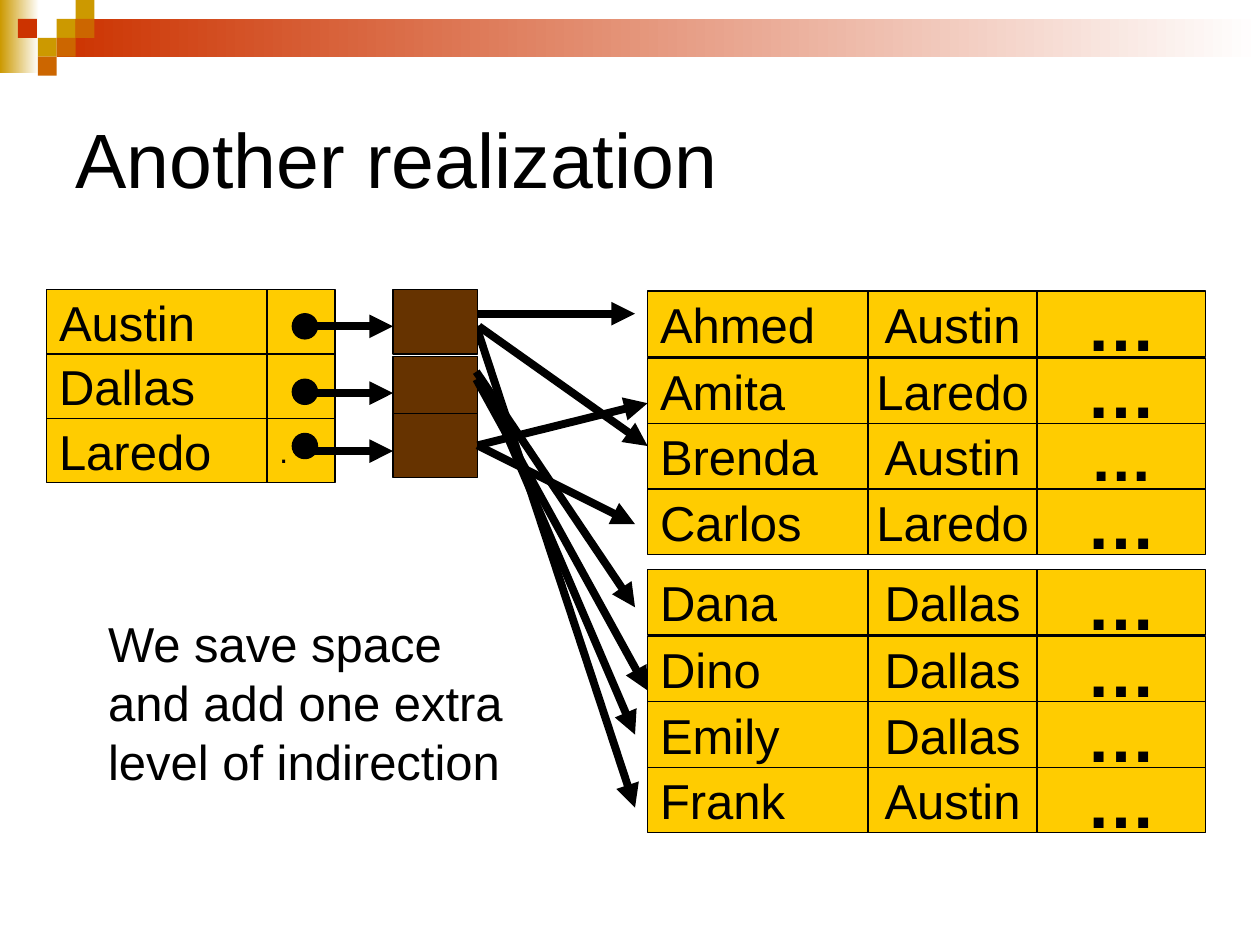
import dataclasses

import lxml.etree
import pptx
import pptx.dml.color
import pptx.enum.shapes
import pptx.enum.text
import pptx.oxml.ns
import pptx.util

Inches = pptx.util.Inches
Shape = pptx.enum.shapes.MSO_SHAPE
Align = pptx.enum.text.PP_ALIGN
Anchor = pptx.enum.text.MSO_ANCHOR


@dataclasses.dataclass(frozen=True)
class Theme:
    """Colours, font and type sizes of the slide."""

    ink: str = "000000"
    paper: str = "FFFFFF"
    cell: str = "FFCC00"
    bucket: str = "663300"
    gold: str = "CC9900"
    orange: str = "CC6600"
    red: str = "CC3300"
    font: str = "Arial"
    title: int = 44
    body: int = 28
    mark: int = 18
    ellipsis: int = 40
    small_ellipsis: int = 36
    outline: float = 0.75
    arrow: float = 4.5


class Painter:
    """Draws styled elements on the current slide."""

    def __init__(self, page, theme):
        """Keep the slide and its theme."""
        self.page = page
        self.theme = theme

    def color(self, value):
        """Return the RGB colour of a hex value."""
        return pptx.dml.color.RGBColor.from_string(value)

    def label(self, shape, lines, size, align=Align.LEFT, bold=False, anchor=Anchor.MIDDLE):
        """Fill a shape with styled lines of text."""
        frame = shape.text_frame
        frame.word_wrap = False
        frame.vertical_anchor = anchor
        frame.text = "\n".join(lines)
        style = {"name": self.theme.font, "size": pptx.util.Pt(size), "bold": bold}
        for para in frame.paragraphs:
            para.alignment = align
            for span in para.runs:
                for name, value in style.items():
                    setattr(span.font, name, value)
                span.font.color.rgb = self.color(self.theme.ink)

    def text(self, box, lines, size, anchor):
        """Add a text box."""
        shape = self.page.shapes.add_textbox(*map(Inches, box))
        self.label(shape, lines, size, anchor=anchor)

    def shape(self, box, fill, kind=Shape.RECTANGLE, outlined=True):
        """Add a filled shape, with or without an outline."""
        shape = self.page.shapes.add_shape(kind, *map(Inches, box))
        shape.shadow.inherit = False
        shape.fill.solid()
        shape.fill.fore_color.rgb = self.color(fill)
        if outlined:
            shape.line.color.rgb = self.color(self.theme.ink)
            shape.line.width = pptx.util.Pt(self.theme.outline)
        else:
            shape.line.fill.background()
        return shape

    def fade(self, box, start):
        """Add a band that fades from a colour to the paper."""
        shape = self.shape(box, start, outlined=False)
        shape.fill.gradient()
        shape.fill.gradient_angle = 0
        for stop, value in zip(shape.fill.gradient_stops, (start, self.theme.paper)):
            stop.color.rgb = self.color(value)

    def cell(self, box, words="", size=None, **style):
        """Add a table-like cell with optional words."""
        shape = self.shape(box, self.theme.cell)
        if words:
            self.label(shape, [words], size or self.theme.body, **style)

    def arrow(self, start, end, source=None):
        """Add an arrow, joined to the right side of its source if given."""
        line = self.page.shapes.add_connector(
            pptx.enum.shapes.MSO_CONNECTOR.STRAIGHT, *map(Inches, (*start, *end)))
        if source is not None:
            line.begin_connect(source, 3)
        line.line.color.rgb = self.color(self.theme.ink)
        line.line.width = pptx.util.Pt(self.theme.arrow)
        properties = line.element.spPr
        outline = properties.find(pptx.oxml.ns.qn("a:ln"))
        lxml.etree.SubElement(outline, pptx.oxml.ns.qn("a:tailEnd"), type="triangle")
        lxml.etree.SubElement(properties, pptx.oxml.ns.qn("a:effectLst"))


def draw_header(painter):
    """Draw the fading bands and the mosaic of squares."""
    theme = painter.theme
    painter.fade((0, 0, 0.31, 0.58), theme.gold)
    painter.fade((0.45, 0.15, 9.55, 0.3), theme.red)
    side = 0.15
    squares = [(3, 1, theme.gold), (4, 0, theme.gold), (4, 1, theme.orange),
               (2, 2, theme.gold), (0.95, 1, theme.red), (3, 2, theme.orange),
               (2, 3, theme.orange)]
    for column, row, fill in squares:
        painter.shape((column * side, row * side, side, side), fill, outlined=False)


def draw_records(painter, top, records):
    """Draw a block of records, with a small gap below the first."""
    height = 0.52
    for index, (name, city, size) in enumerate(records):
        y = top + index * height + (0.01 if index else 0)
        painter.cell((5.14, y, 1.75, height), name)
        painter.cell((6.89, y, 1.34, height), city, align=Align.CENTER)
        painter.cell((8.23, y, 1.34, height), "…", size, align=Align.CENTER, bold=True)


def draw_index(painter):
    """Draw the city index with its pointer cells and dots."""
    theme = painter.theme
    height = 0.51
    for row, (city, mark) in enumerate([("Austin", ""), ("Dallas", ""), ("Laredo", ".")]):
        y = 2.3 + row * height
        painter.cell((0.37, y, 1.75, height), city)
        painter.cell((2.12, y, 0.54, height), mark, theme.mark)
    for y in (2.49, 3.01, 3.44):
        painter.shape((2.32, y, 0.2, 0.2), theme.ink, Shape.OVAL)


def draw_pointers(painter):
    """Draw the buckets and the arrows through them to the records."""
    for start, end in [((3.78, 2.49), (5.04, 2.49)), ((3.8, 2.59), (5.14, 3.54)),
                       ((3.78, 2.59), (5.04, 6.41))]:
        painter.arrow(start, end)
    for top, y in [(2.3, 2.59), (2.83, 3.12), (3.28, 3.58)]:
        bucket = painter.shape((3.12, top, 0.67, 0.51), painter.theme.bucket)
        painter.arrow((2.42, y), (3.12, y))
    for start, end, source in [((3.78, 3.54), (5.14, 3.2), bucket),
                               ((3.78, 2.95), (5.04, 4.82), None),
                               ((3.78, 3.01), (5.14, 5.48), None),
                               ((3.88, 3.12), (5.04, 5.83), None),
                               ((3.78, 3.54), (5.04, 4.16), bucket)]:
        painter.arrow(start, end, source)


def main():
    """Build the slide and save it."""
    deck = pptx.Presentation()
    deck.slide_width, deck.slide_height = Inches(10), Inches(7.5)
    theme = Theme()
    painter = Painter(deck.slides.add_slide(deck.slide_layouts[6]), theme)
    large, small = theme.ellipsis, theme.small_ellipsis
    draw_header(painter)
    painter.text((0.5, 0.5, 9, 1.5), ["Another realization"], theme.title, Anchor.MIDDLE)
    draw_records(painter, 2.31, [("Ahmed", "Austin", large), ("Amita", "Laredo", large),
                                 ("Brenda", "Austin", small), ("Carlos", "Laredo", large)])
    draw_records(painter, 4.52, [("Dana", "Dallas", large), ("Dino", "Dallas", large),
                                 ("Emily", "Dallas", large), ("Frank", "Austin", large)])
    draw_index(painter)
    draw_pointers(painter)
    painter.text((0.76, 4.82, 3.33, 1.5),
                 ["We save space", "and add one extra", "level of indirection"],
                 theme.body, Anchor.TOP)
    deck.save("out.pptx")


if __name__ == "__main__":
    main()
